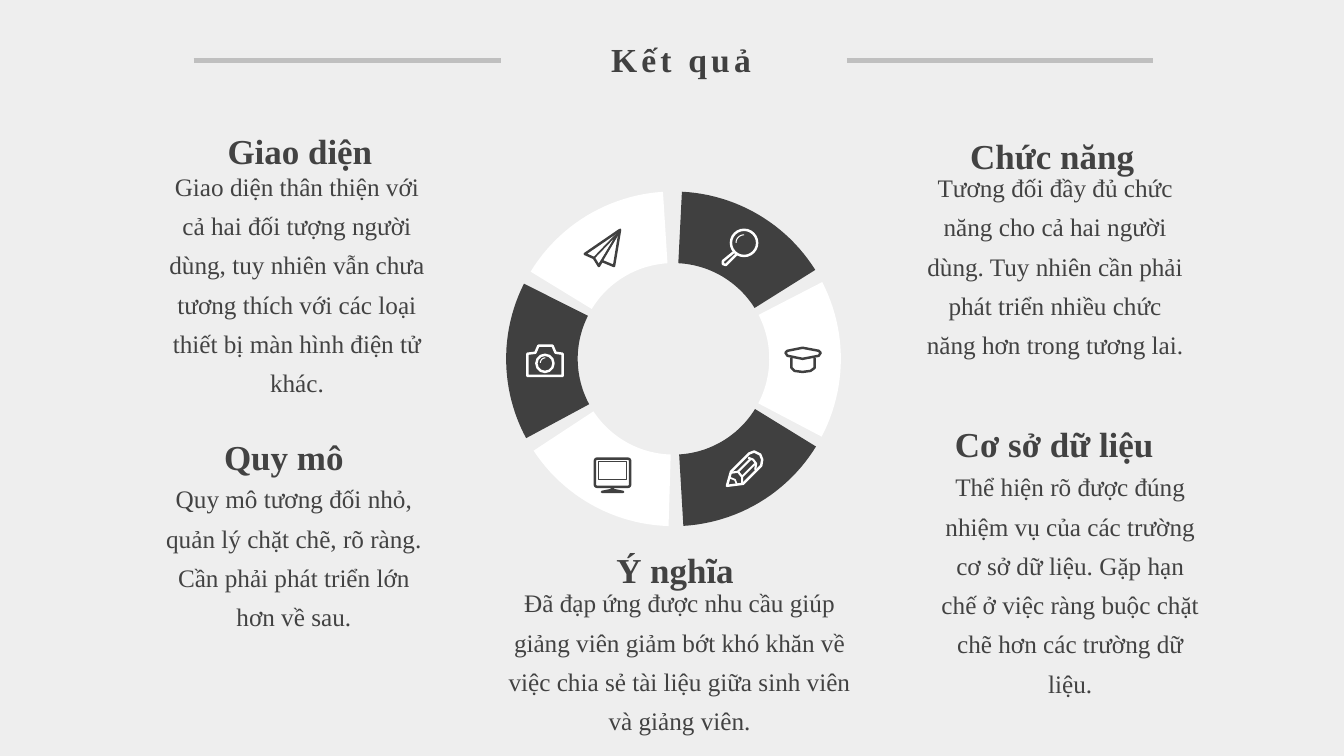
from dataclasses import dataclass
from math import cos, radians, sin

from lxml.etree import SubElement
from pptx import Presentation
from pptx.dml.color import RGBColor
from pptx.enum.shapes import MSO_CONNECTOR, MSO_SHAPE
from pptx.enum.text import MSO_AUTO_SIZE, PP_ALIGN
from pptx.oxml.ns import qn
from pptx.util import Inches, Pt

WHITE = RGBColor(0xFF, 0xFF, 0xFF)
DARK = RGBColor(0x40, 0x40, 0x40)
INK = RGBColor(0x42, 0x42, 0x42)
RULE = RGBColor(0xBF, 0xBF, 0xBF)
PAPER = RGBColor(0xEE, 0xEE, 0xEE)
FACE = "Times New Roman"

HEAD = {"name": FACE, "size": Pt(25), "bold": True}
BODY = {"name": FACE, "size": Pt(18)}
TITLE = {"name": FACE, "size": Pt(24), "bold": True}

HUB = (6.68, 3.56)
OUTER, INNER, SWEEP = 1.66, 0.95, 55

Points = list[tuple[float, float]]
Box = tuple[float, float, float, float]


@dataclass
class Topic:
    head: str
    head_box: Box
    body: str
    body_box: Box


@dataclass
class Stroke:
    color: RGBColor
    points: Points
    closed: bool = False
    width: float = 1.75


@dataclass
class Frame:
    color: RGBColor
    kind: MSO_SHAPE
    box: Box
    width: float = 1.75


TOPICS = [
    Topic("Giao diện", (2.06, 1.11, 1.83, 0.59),
          "Giao diện thân thiện với cả hai đối tượng người dùng, tuy nhiên vẫn chưa "
          "tương thích với các loại thiết bị màn hình điện tử khác.",
          (1.54, 1.56, 2.81, 2.46)),
    Topic("Quy mô", (1.9, 4.15, 1.83, 0.59),
          "Quy mô tương đối nhỏ, quản lý chặt chẽ, rõ ràng. Cần phải phát triển lớn "
          "hơn về sau.",
          (1.51, 4.66, 2.81, 1.64)),
    Topic("Cơ sở dữ liệu", (9.13, 4.02, 2.65, 0.65),
          "Thể hiện rõ được đúng nhiệm vụ của các trường cơ sở dữ liệu. Gặp hạn chế "
          "ở việc ràng buộc chặt chẽ hơn các trường dữ liệu.",
          (9.21, 4.54, 2.81, 2.46)),
    Topic("Chức năng", (9.52, 1.16, 1.83, 0.59),
          "Tương đối đầy đủ chức năng cho cả hai người dùng. Tuy nhiên cần phải phát "
          "triển nhiều chức năng hơn trong tương lai.",
          (9.06, 1.57, 2.81, 2.07)),
    Topic("Ý nghĩa", (5.5, 5.27, 2.39, 0.59),
          "Đã đạp ứng được nhu cầu giúp giảng viên giảm bớt khó khăn về việc chia sẻ "
          "tài liệu giữa sinh viên và giảng viên.",
          (4.9, 5.69, 3.68, 1.68)),
]


def arc(mid: tuple[float, float], radius: float, start: float, end: float) -> Points:
    """Points along an arc, with angles in degrees clockwise from the top."""
    turns = [radians(start + (end - start) * i / 24) for i in range(25)]
    return [(mid[0] + radius * sin(t), mid[1] - radius * cos(t)) for t in turns]


# Start angle of each ring part, clockwise from the top
STARTS = [2.9, 62.7, 121.6, 181.7, 241.7, 301.4]

LENS = [
    Frame(WHITE, MSO_SHAPE.OVAL, (7.25, 2.28, 0.26, 0.26)),
    Stroke(WHITE, [(7.28, 2.5), (7.17, 2.59), (7.17, 2.62), (7.2, 2.63), (7.31, 2.52)]),
    Stroke(WHITE, arc((7.38, 2.41), 0.08, 270, 360), width=0.75),
]
PLANE = [
    Stroke(DARK, [(5.8, 2.52), (6.15, 2.28), (6.09, 2.64), (5.97, 2.59),
                  (5.94, 2.64), (5.89, 2.56)], True),
    Stroke(DARK, [(5.89, 2.56), (6.14, 2.3), (5.94, 2.63)], width=1.25),
    Stroke(DARK, [(6.14, 2.3), (5.97, 2.59)], width=1.25),
]
CAMERA = [
    Stroke(WHITE, [(5.23, 3.51), (5.31, 3.5), (5.34, 3.43), (5.48, 3.43), (5.51, 3.5),
                   (5.58, 3.51), (5.58, 3.73), (5.23, 3.73)], True),
    Frame(WHITE, MSO_SHAPE.OVAL, (5.32, 3.52, 0.17, 0.17)),
    Stroke(WHITE, arc((5.41, 3.6), 0.05, 270, 360), width=0.75),
]
SCREEN = [
    Frame(DARK, MSO_SHAPE.ROUNDED_RECTANGLE, (5.9, 4.55, 0.35, 0.28)),
    Frame(DARK, MSO_SHAPE.RECTANGLE, (5.94, 4.58, 0.27, 0.18), 0.75),
    Stroke(DARK, [(6.07, 4.83), (6.07, 4.86), (5.97, 4.88), (6.18, 4.88),
                  (6.08, 4.86), (6.08, 4.83)]),
]
CAP = [
    Stroke(DARK, [(7.79, 3.5), (7.81, 3.48), (7.96, 3.45), (8.12, 3.48), (8.14, 3.5),
                  (8.12, 3.53), (7.96, 3.56), (7.81, 3.53)], True),
    Stroke(DARK, [(7.85, 3.55), (7.85, 3.65), (7.88, 3.68), (7.96, 3.69),
                  (8.04, 3.68), (8.08, 3.65), (8.08, 3.55)]),
]
PENCIL = [
    Stroke(WHITE, [(7.21, 4.82), (7.25, 4.68), (7.43, 4.5), (7.48, 4.48), (7.54, 4.51),
                   (7.56, 4.56), (7.55, 4.62), (7.37, 4.8)], True),
    Stroke(WHITE, [(7.25, 4.69), (7.32, 4.68), (7.36, 4.73), (7.36, 4.8)], width=1.5),
    Stroke(WHITE, [(7.24, 4.74), (7.29, 4.76), (7.31, 4.81)], width=1.25),
    Stroke(WHITE, [(7.32, 4.68), (7.45, 4.55)], width=1.5),
    Stroke(WHITE, [(7.36, 4.73), (7.49, 4.6)], width=1.5),
    Stroke(WHITE, [(7.42, 4.54), (7.47, 4.56), (7.5, 4.6), (7.49, 4.66)], width=1.5),
]


def trace(slide, points: Points, closed: bool):
    spots = [(Inches(x), Inches(y)) for x, y in points]
    pen = slide.shapes.build_freeform(*spots[0])
    pen.add_line_segments(spots[1:], close=closed)
    shape = pen.convert_to_shape()
    shape.shadow.inherit = False
    return shape


def add_part(slide, start: float, color: RGBColor) -> None:
    end = start + SWEEP
    shape = trace(slide, arc(HUB, OUTER, start, end) + arc(HUB, INNER, end, start), True)
    shape.fill.solid()
    shape.fill.fore_color.rgb = color
    shape.line.fill.background()


def add_mark(slide, mark: Stroke | Frame) -> None:
    """Draw one unfilled piece of an icon."""
    if isinstance(mark, Stroke):
        shape = trace(slide, mark.points, mark.closed)
    else:
        shape = slide.shapes.add_shape(mark.kind, *map(Inches, mark.box))
        shape.shadow.inherit = False
        if mark.kind == MSO_SHAPE.ROUNDED_RECTANGLE:
            shape.adjustments[0] = 0.08
    shape.fill.background()
    shape.line.color.rgb = mark.color
    shape.line.width = Pt(mark.width)


def add_text(slide, text: str, box: Box, style: dict, color: RGBColor, lead: float = 1.3):
    frame = slide.shapes.add_textbox(*map(Inches, box)).text_frame
    frame.word_wrap = True
    frame.auto_size = MSO_AUTO_SIZE.SHAPE_TO_FIT_TEXT
    para = frame.paragraphs[0]
    para.alignment = PP_ALIGN.CENTER
    para.line_spacing = lead
    run = para.add_run()
    run.text = text
    for key, value in style.items():
        setattr(run.font, key, value)
    run.font.color.rgb = color
    return run


def add_rule(slide, left: float, right: float) -> None:
    line = slide.shapes.add_connector(
        MSO_CONNECTOR.STRAIGHT, Inches(left), Inches(0.6), Inches(right), Inches(0.6))
    line.line.color.rgb = RULE
    line.line.width = Pt(3)
    SubElement(line._element.spPr, qn("a:effectLst"))


def main() -> None:
    deck = Presentation()
    deck.slide_width, deck.slide_height = Inches(13.33), Inches(7.5)
    slide = deck.slides.add_slide(deck.slide_layouts[6])
    slide.background.fill.solid()
    slide.background.fill.fore_color.rgb = PAPER

    for i, start in enumerate(STARTS):
        add_part(slide, start, WHITE if i % 2 else DARK)
    for icon in (LENS, CAP, PENCIL, SCREEN, CAMERA, PLANE):
        for mark in icon:
            add_mark(slide, mark)
    for topic in TOPICS:
        add_text(slide, topic.head, topic.head_box, HEAD, INK)
        add_text(slide, topic.body, topic.body_box, BODY, INK)

    title = add_text(slide, "Kết quả", (5.02, 0.34, 3.47, 0.5), TITLE, DARK, 1.0)
    title._r.get_or_add_rPr().set("spc", "300")
    add_rule(slide, 1.92, 4.97)
    add_rule(slide, 8.4, 11.44)
    deck.save("out.pptx")


if __name__ == "__main__":
    main()
